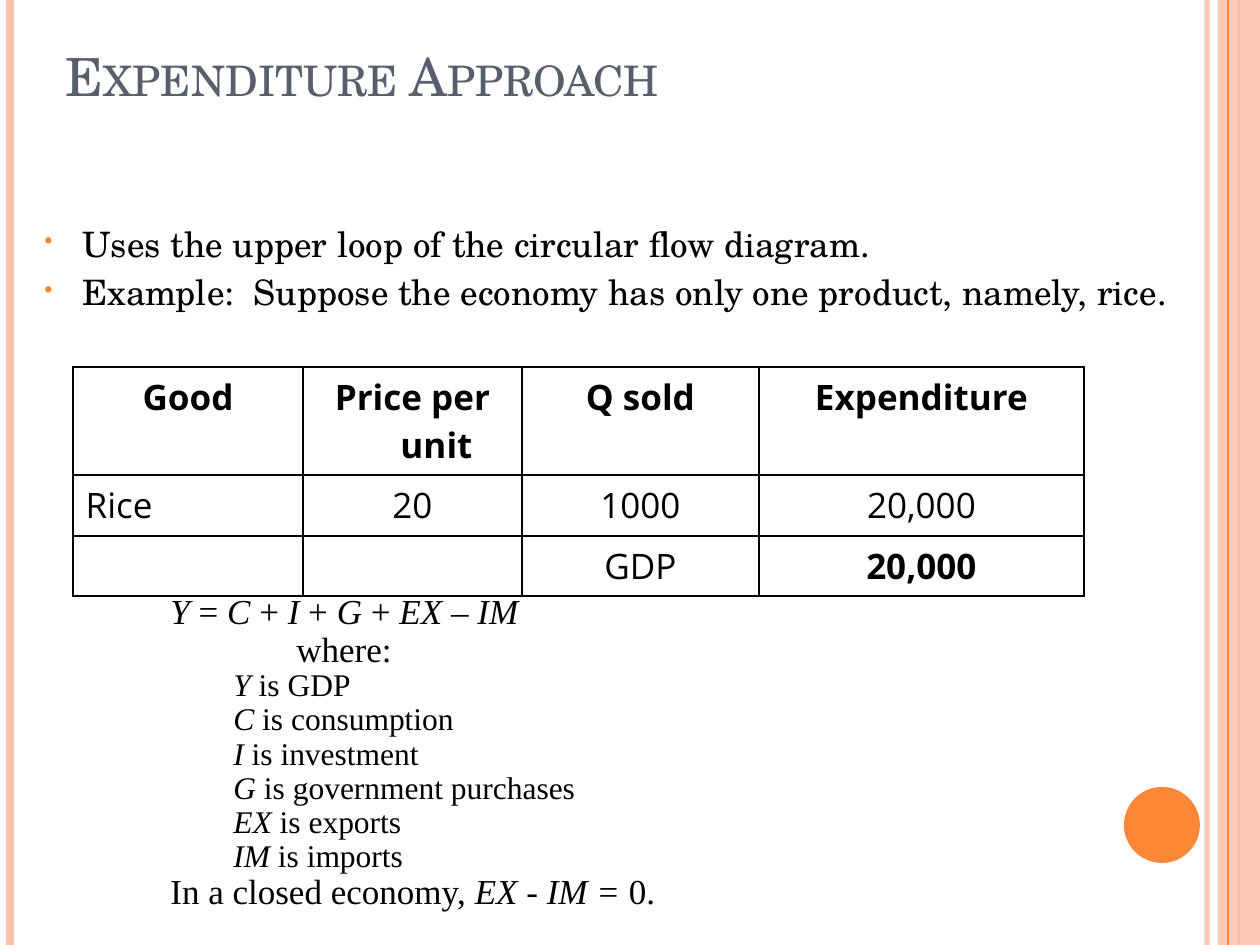
from dataclasses import dataclass
from typing import Optional

from lxml.etree import SubElement
from pptx import Presentation
from pptx.dml.color import RGBColor
from pptx.enum.shapes import MSO_CONNECTOR as Connector, MSO_SHAPE as Preset
from pptx.enum.text import MSO_ANCHOR as Anchor, PP_ALIGN as Align
from pptx.oxml import parse_xml
from pptx.oxml.ns import nsdecls, qn
from pptx.util import Emu, Pt

WIDTH, HEIGHT = 1260, 945
EMU_PER_PX = 914400 / 126


@dataclass(frozen=True)
class Theme:
    peach: str = "FEC3AE"
    orange: str = "FE8637"
    slate: str = "575F6D"
    black: str = "000000"
    serif: str = "TeX Gyre Schola"
    sans: str = "Open Sans"
    formula: str = "Times New Roman"
    title_size: int = 30
    body_size: int = 20
    detail_size: int = 18


THEME = Theme()


@dataclass(frozen=True)
class Rule:
    x: int
    color: str
    weight: float
    opacity: int = 100


@dataclass(frozen=True)
class Span:
    text: str
    italic: bool = False
    bold: bool = False


@dataclass(frozen=True)
class Line:
    spans: list[Span]
    indent: int = 63
    size: int = THEME.body_size


def px(value: float) -> Emu:
    return Emu(round(value * EMU_PER_PX))


def rgb(color: str) -> RGBColor:
    return RGBColor.from_string(color)


def set_opacity(part, percent: int) -> None:
    if percent < 100:
        for color in part.iter(qn("a:srgbClr")):
            SubElement(color, qn("a:alpha")).set("val", str(percent * 1000))


def draw_rule(slide, rule: Rule) -> None:
    line = slide.shapes.add_connector(Connector.STRAIGHT, px(rule.x), 0, px(rule.x), px(HEIGHT))
    line.line.color.rgb = rgb(rule.color)
    line.line.width = Pt(rule.weight)
    properties = line._element.spPr
    set_opacity(properties, rule.opacity)
    SubElement(properties, qn("a:effectLst"))


def draw_shape(slide, preset, box: tuple, color: str, opacity: int = 100) -> None:
    shape = slide.shapes.add_shape(preset, *map(px, box))
    shape.shadow.inherit = False
    shape.fill.solid()
    shape.fill.fore_color.rgb = rgb(color)
    shape.line.fill.background()
    set_opacity(shape._element.spPr, opacity)


def add_frame(slide, box: tuple, anchor=Anchor.TOP):
    frame = slide.shapes.add_textbox(*map(px, box)).text_frame
    frame.word_wrap = True
    frame.vertical_anchor = anchor
    return frame


def add_run(paragraph, span: Span, font: str, size: int, color: str = THEME.black):
    run = paragraph.add_run()
    run.text = span.text
    run.font.name = font
    run.font.size = Pt(size)
    run.font.color.rgb = rgb(color)
    run.font.italic = span.italic
    run.font.bold = span.bold
    return run


def set_indent(paragraph, left: int, first: int = 0):
    properties = paragraph._p.get_or_add_pPr()
    properties.set("marL", str(px(left)))
    properties.set("indent", str(px(first)))
    return properties


def next_paragraph(frame, index: int):
    return frame.add_paragraph() if index else frame.paragraphs[0]


def add_bullet(properties) -> None:
    color = SubElement(properties, qn("a:buClr"))
    SubElement(color, qn("a:srgbClr")).set("val", THEME.orange)
    SubElement(properties, qn("a:buSzPct")).set("val", "70000")
    SubElement(properties, qn("a:buChar")).set("char", "•")


def fill_cell(cell, span: Optional[Span], align) -> None:
    cell.fill.background()
    properties = cell._tc.get_or_add_tcPr()
    for index, side in enumerate(("lnL", "lnR", "lnT", "lnB")):
        properties.insert(index, parse_xml(
            f'<a:{side} {nsdecls("a")} w="12700"><a:solidFill>'
            f'<a:srgbClr val="{THEME.black}"/></a:solidFill></a:{side}>'))
    if span:
        paragraph = cell.text_frame.paragraphs[0]
        paragraph.alignment = align
        set_indent(paragraph, 48, -48)
        add_run(paragraph, span, THEME.sans, THEME.body_size)


def definition(symbol: str, meaning: str) -> Line:
    return Line([Span(symbol, italic=True), Span(f" is {meaning}")], 126, THEME.detail_size)


prs = Presentation()
prs.slide_width, prs.slide_height = px(WIDTH), px(HEIGHT)
slide = prs.slides.add_slide(prs.slide_layouts[6])

# Side decoration
for rule in (Rule(1207, THEME.peach, 3, 93), Rule(10, THEME.peach, 4.5), Rule(1239, THEME.orange, 1.5)):
    draw_rule(slide, rule)
draw_shape(slide, Preset.RECTANGLE, (1218, 0, 42, HEIGHT), THEME.peach, 87)
draw_rule(slide, Rule(1228, THEME.orange, 0.75))
draw_shape(slide, Preset.OVAL, (1124, 787, 76, 76), THEME.orange)

# Title
title = add_frame(slide, (53, 21, 1040, 92), Anchor.BOTTOM)
heading = add_run(title.paragraphs[0], Span("Expenditure Approach"), THEME.serif, THEME.title_size, THEME.slate)
heading._r.get_or_add_rPr().set("cap", "small")

# Introduction
intro = add_frame(slide, (32, 221, 1197, 69))
for index, sentence in enumerate((
        "Uses the upper loop of the circular flow diagram.",
        "Example:  Suppose the economy has only one product, namely, rice.")):
    point = next_paragraph(intro, index)
    point.line_spacing = 0.9
    point.space_before = Pt(6)
    add_bullet(set_indent(point, 38, -38))
    add_run(point, Span(sentence), THEME.serif, THEME.body_size)

# Expenditure table
COLUMNS, ROWS = (230, 219, 237, 325), (108, 61, 60)
CELLS = [
    [Span(label, bold=True) for label in ("Good", "Price per unit", "Q sold", "Expenditure")],
    [Span(value) for value in ("Rice", "20", "1000", "20,000")],
    [None, None, Span("GDP"), Span("20,000", bold=True)],
]
expenditure = slide.shapes.add_table(
    len(ROWS), len(COLUMNS), px(73), px(367), px(sum(COLUMNS)), px(sum(ROWS))).table
expenditure.first_row = expenditure.horz_banding = False
for column, width in zip(expenditure.columns, COLUMNS):
    column.width = px(width)
for r, (row, height) in enumerate(zip(expenditure.rows, ROWS)):
    row.height = px(height)
    for c, cell in enumerate(row.cells):
        fill_cell(cell, CELLS[r][c], Align.LEFT if (r, c) == (1, 0) else Align.CENTER)

# GDP identity and its terms
identity = [Span(part, italic=part.isalpha())
            for part in ("Y", " = ", "C", " + ", "I", " + ", "G", " + ", "EX", " – ", "IM")]
LINES = [
    Line(identity),
    Line([Span("where:")], 189),
    definition("Y", "GDP"),
    definition("C", "consumption"),
    definition("I", "investment"),
    definition("G", "government purchases"),
    definition("EX", "exports"),
    definition("IM", "imports"),
    Line([Span("In a closed economy, "), Span("EX - IM = ", italic=True), Span("0.")]),
]
formula = add_frame(slide, (95, 588, 1008, 341))
for index, line in enumerate(LINES):
    paragraph = next_paragraph(formula, index)
    paragraph.line_spacing = 0.9
    set_indent(paragraph, line.indent)
    for span in line.spans:
        add_run(paragraph, span, THEME.formula, line.size)

prs.save("out.pptx")
